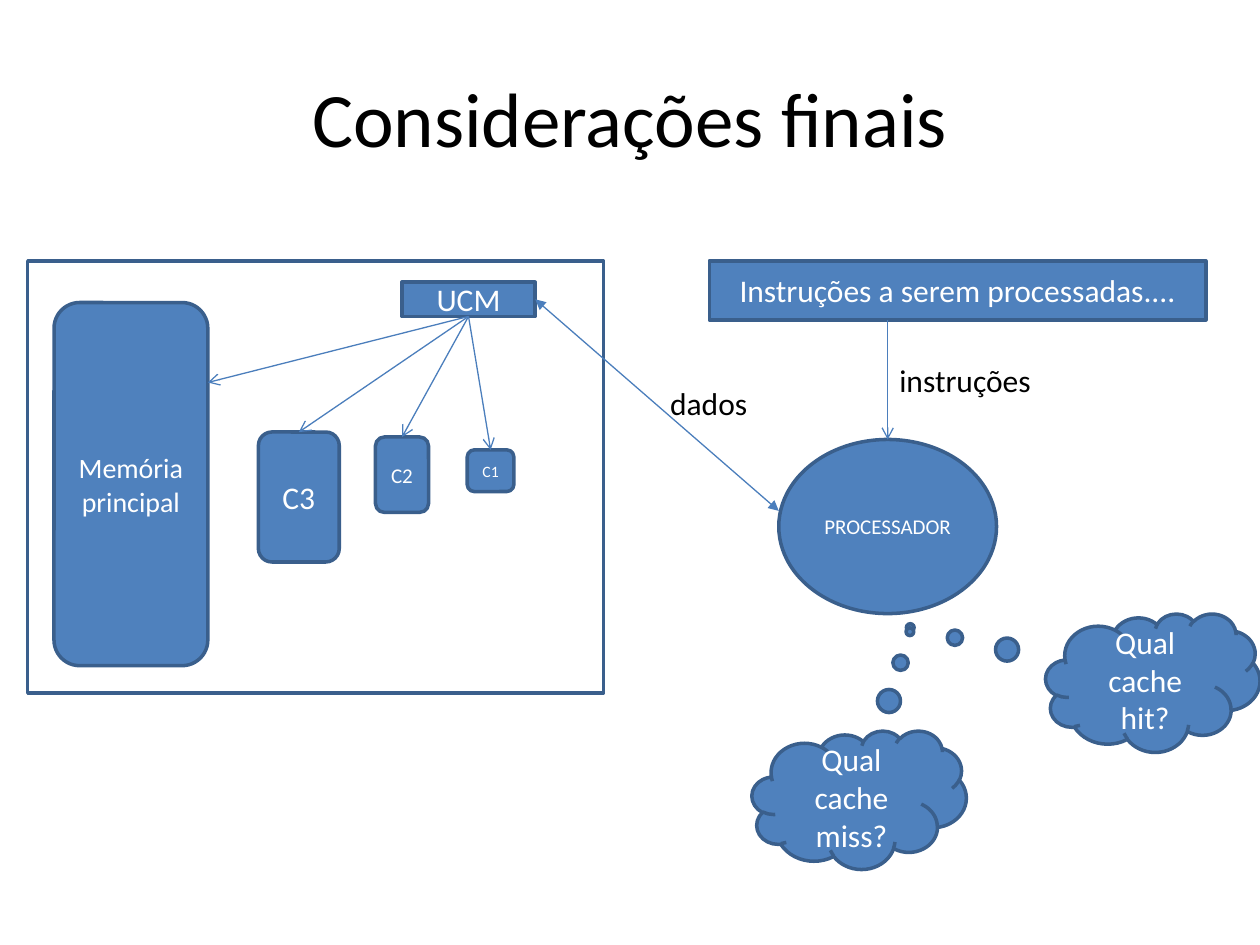
from dataclasses import dataclass

from pptx import Presentation, util as u
from pptx.dml.color import RGBColor
from pptx.enum import shapes, text
from pptx.oxml.ns import qn
from lxml import etree

Cm, Pt = u.Cm, u.Pt
SHAPE = shapes.MSO_SHAPE
ALIGN = text.PP_ALIGN


@dataclass(frozen=True)
class Theme:
    font: str = "Calibri"
    fill: str = "4F81BD"
    outline: str = "3A5F8C"
    arrow: str = "4B7EBC"
    ink: str = "000000"
    light: str = "FFFFFF"
    title: int = 44
    body: int = 18
    medium: int = 16
    small: int = 12
    tiny: int = 9
    outline_width: float = 2
    arrow_width: float = 0.75


class Canvas:
    def __init__(self, slide, theme):
        self.slide, self.theme = slide, theme

    def put_text(self, sp, words, size, color, align, **frame):
        tf = sp.text_frame
        for name, value in frame.items():
            setattr(tf, name, value)
        p = tf.paragraphs[0]
        p.alignment = align
        r = p.add_run()
        r.text = words
        for name, value in {"name": self.theme.font, "size": Pt(size)}.items():
            setattr(r.font, name, value)
        r.font.color.rgb = RGBColor.from_string(color)

    def stroke(self, line, color, width):
        line.color.rgb = RGBColor.from_string(color)
        line.width = Pt(width)

    def shape(self, kind, box, words="", size=None, filled=True, adjust=()):
        t = self.theme
        sp = self.slide.shapes.add_shape(kind, *map(Cm, box))
        sp.shadow.inherit = False
        if filled:
            sp.fill.solid()
            sp.fill.fore_color.rgb = RGBColor.from_string(t.fill)
        else:
            sp.fill.background()
        self.stroke(sp.line, t.outline, t.outline_width)
        for i, value in enumerate(adjust):
            sp.adjustments[i] = value
        if words:
            self.put_text(sp, words, size or t.body, t.light, ALIGN.CENTER,
                          word_wrap=True, vertical_anchor=text.MSO_ANCHOR.MIDDLE)
        return sp

    def label(self, box, words, size=None, align=ALIGN.LEFT, **frame):
        sp = self.slide.shapes.add_textbox(*map(Cm, box))
        self.put_text(sp, words, size or self.theme.body, self.theme.ink, align, **frame)

    def arrow(self, start, end, **ends):
        t = self.theme
        cx = self.slide.shapes.add_connector(
            shapes.MSO_CONNECTOR.STRAIGHT, *start, *end)
        self.stroke(cx.line, t.arrow, t.arrow_width)
        ln = cx._element.spPr.find(qn("a:ln"))
        for tag in ("headEnd", "tailEnd"):
            if tag in ends:
                etree.SubElement(ln, qn(f"a:{tag}"), type=ends[tag])
        etree.SubElement(cx._element.spPr, qn("a:effectLst"))


def point(sp, fx, fy):
    """Point at fractions of a shape's width and height."""
    return int(sp.left + fx * sp.width), int(sp.top + fy * sp.height)


prs = Presentation()
prs.slide_width, prs.slide_height = Cm(25.4), Cm(19.05)
theme = Theme()
s = Canvas(prs.slides.add_slide(prs.slide_layouts[6]), theme)

# Title
s.label((1.27, 0.76, 22.86, 3.18), "Considerações finais", theme.title, ALIGN.CENTER,
        word_wrap=True, vertical_anchor=text.MSO_ANCHOR.MIDDLE)

# Processor and its instruction queue
processor = s.shape(SHAPE.OVAL, (15.7, 8.86, 4.39, 3.51), "PROCESSADOR", theme.small)
queue = s.shape(SHAPE.RECTANGLE, (14.3, 5.26, 10.01, 1.19),
                "Instruções a serem processadas....")
top = point(processor, 0.5, 0)
s.arrow((top[0], queue.top + queue.height), top, tailEnd="arrow")

# Memory hierarchy inside its frame
s.shape(SHAPE.RECTANGLE, (0.56, 5.26, 11.61, 8.71), filled=False)
memory = s.shape(SHAPE.ROUNDED_RECTANGLE, (1.09, 6.1, 3.1, 7.32),
                 "Memória principal", theme.medium)
caches = [s.shape(SHAPE.ROUNDED_RECTANGLE, box, name, size) for name, size, box in (
    ("C3", theme.body, (5.21, 8.71, 1.63, 2.62)),
    ("C2", theme.small, (7.57, 8.81, 1.07, 1.52)),
    ("C1", theme.tiny, (9.42, 9.07, 0.94, 0.84)),
)]
ucm = s.shape(SHAPE.RECTANGLE, (8.1, 5.69, 2.69, 0.69), "UCM")

# Control unit to each memory level, and data to the processor
for target in [point(c, 0.5, 0) for c in caches] + [point(memory, 1, 0.22)]:
    s.arrow(point(ucm, 0.5, 1), target, tailEnd="arrow")
s.arrow(point(ucm, 1, 0.5), point(processor, 0, 0.41),
        headEnd="triangle", tailEnd="triangle")

# Arrow labels
for words, box in (("dados", (13.26, 7.62, 2.08, 1.02)),
                   ("instruções", (17.88, 7.16, 3.2, 1.02))):
    s.label(box, words, word_wrap=False,
            auto_size=text.MSO_AUTO_SIZE.SHAPE_TO_FIT_TEXT)

# Processor's questions
for words, x, y, tail in (("Qual cache hit?", 21.08, 12.37, (-1.132, -0.399)),
                          ("Qual cache miss?", 15.16, 14.73, (0.237, -1.215))):
    s.shape(SHAPE.CLOUD_CALLOUT, (x, y, 4.32, 2.79), words, adjust=tail)

prs.save("out.pptx")
